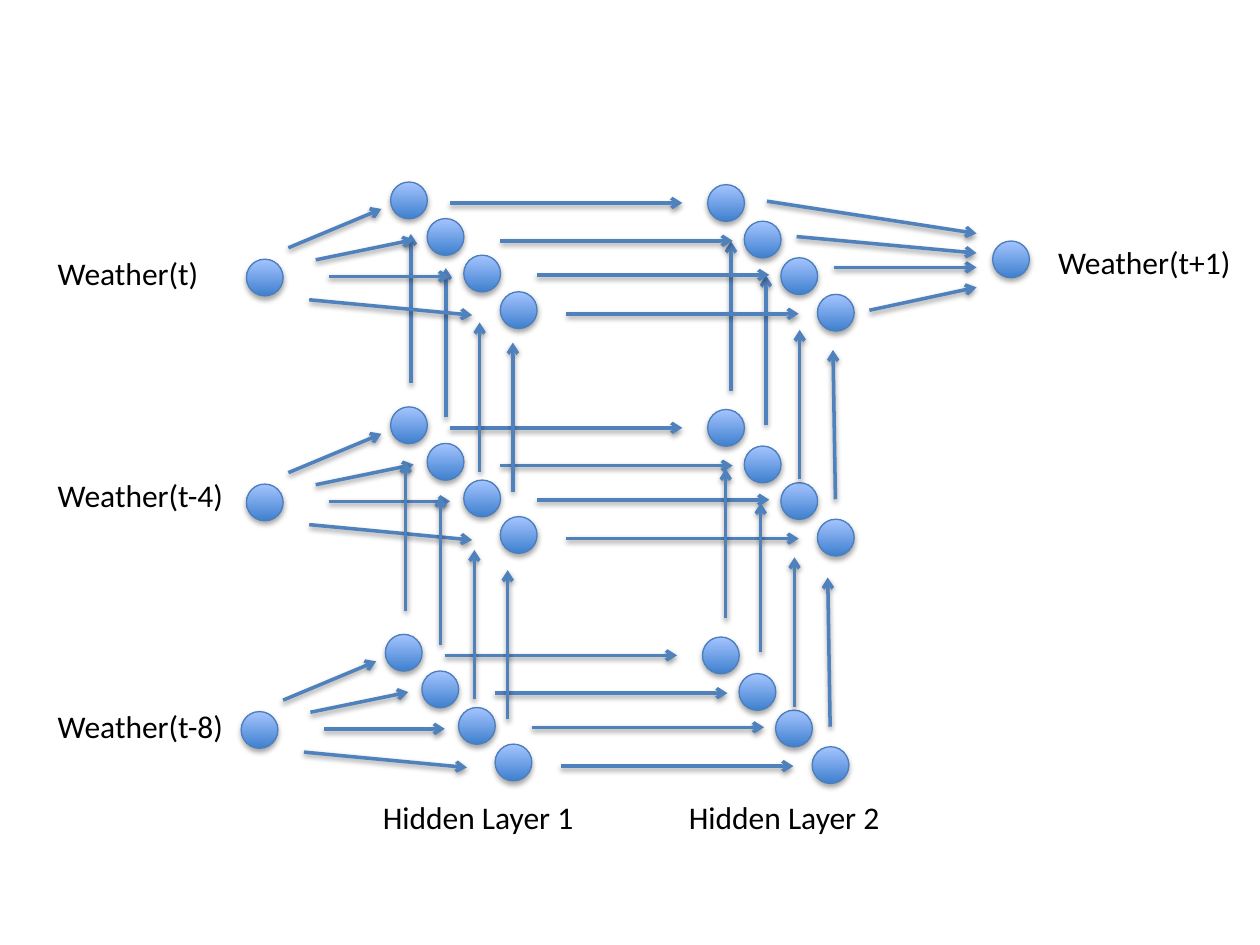
"""Build a slide of a recurrent weather network with two hidden layers."""
from lxml import etree
from pptx import Presentation
from pptx import util as u
from pptx.dml.color import RGBColor
from pptx.enum import shapes, text
from pptx.oxml.ns import qn

Pt = u.Pt
COLORS = {"node_dark": "3F80CE", "node_light": "A4C4FF", "outline": "4B7EBC",
          "arrow": "4F81BD", "text": "000000", "shadow": "000000"}

LABELS = [("Weather(t)", 25.9, 141.8, 96.5), ("Weather(t-4)", 25.9, 268.6, 111.6),
          ("Weather(t-8)", 25.9, 400.3, 111.6), ("Weather(t+1)", 597.6, 135.4, 115.2),
          ("Hidden Layer 1", 211.7, 452.2, 125.3), ("Hidden Layer 2", 386.6, 452.2, 125.3)]
TIME_STEPS = [{"origin": (223.2, 232.5), "recurrent": True},
              {"origin": (223.2, 104), "recurrent": False},
              {"origin": (220.2, 362.5), "recurrent": True}]

NODE = 21
NODES_PER_LAYER = 4
NODE_STEP = 20.9
LAYER_SHIFT = (181.2, 1.5)
INPUT_SHIFT = (-82.4, 44.1)
OUTPUT_NODE = (567.2, 137.7)

INPUT_FAN = [(-58.4, 37.6, -5.2, 15.4), (-42.8, 44.5, 13.2, 33),
             (-35.1, 54, 34, 54), (-46.5, 67.3, 46.6, 76.1)]
FORWARD_STARTS = [(33.9, 12), (62.7, 33.6), (83.6, 53.1), (100.4, 75.3)]
FORWARD_LENGTH = 132.8
RECURRENT_STARTS = [(11.6, -13.5), (31.6, 6), (50.9, 37.1), (69.9, 48.6)]
RECURRENT_LENGTH = 85.3
RECURRENT_SHIFT = (182.9, 4.2)
LAST_LEAN = 1.4
OUTPUT_FAN = [(496.8, 177.3, 558, 164.2), (476.6, 152.8, 558, 152.8),
              (455.2, 135.2, 558, 144.6), (438.3, 115, 558, 133.4)]

deck = Presentation()
deck.slide_width, deck.slide_height = Pt(720), Pt(540)
slide = deck.slides.add_slide(deck.slide_layouts[6])


def color(name):
    return RGBColor.from_string(COLORS[name])


def cast_shadow(part, distance, opacity):
    effects = etree.SubElement(part._element.spPr, qn("a:effectLst"))
    shadow = etree.SubElement(effects, qn("a:outerShdw"), blurRad=str(Pt(3.1)),
                              dist=str(Pt(distance)), dir="5400000", rotWithShape="0")
    tint = etree.SubElement(shadow, qn("a:srgbClr"), val=COLORS["shadow"])
    etree.SubElement(tint, qn("a:alpha"), val=str(opacity * 1000))


def add_node(x, y):
    node = slide.shapes.add_shape(shapes.MSO_SHAPE.OVAL, Pt(x), Pt(y), Pt(NODE), Pt(NODE))
    node.fill.gradient()
    node.fill.gradient_angle = 90
    for stop, name, place in zip(node.fill.gradient_stops, ("node_dark", "node_light"), (0, 1)):
        stop.color.rgb = color(name)
        stop.position = place
    node.line.color.rgb = color("outline")
    node.line.width = Pt(0.75)
    cast_shadow(node, 1.8, 35)


def add_arrow(x1, y1, x2, y2):
    arrow = slide.shapes.add_connector(shapes.MSO_CONNECTOR.STRAIGHT,
                                       Pt(x1), Pt(y1), Pt(x2), Pt(y2))
    arrow.line.color.rgb = color("arrow")
    arrow.line.width = Pt(2)
    etree.SubElement(arrow._element.spPr.find(qn("a:ln")), qn("a:tailEnd"), type="arrow")
    cast_shadow(arrow, 1.6, 38)


def add_label(words, x, y, width):
    label = slide.shapes.add_textbox(Pt(x), Pt(y), Pt(width), Pt(29))
    label.text_frame.word_wrap = False
    label.text_frame.auto_size = text.MSO_AUTO_SIZE.SHAPE_TO_FIT_TEXT
    paragraph = label.text_frame.paragraphs[0]
    paragraph.text = words
    paragraph.font.name = "Calibri"
    paragraph.font.size = Pt(18)
    paragraph.font.color.rgb = color("text")


def add_time_step(origin, recurrent):
    left, top = origin
    add_node(left + INPUT_SHIFT[0], top + INPUT_SHIFT[1])
    for layer in range(2):
        for i in range(NODES_PER_LAYER):
            add_node(left + layer * LAYER_SHIFT[0] + i * NODE_STEP,
                     top + layer * LAYER_SHIFT[1] + i * NODE_STEP)
    for x1, y1, x2, y2 in INPUT_FAN:
        add_arrow(left + x1, top + y1, left + x2, top + y2)
    for x, y in FORWARD_STARTS:
        add_arrow(left + x, top + y, left + x + FORWARD_LENGTH, top + y)
    if not recurrent:
        return
    for layer in range(2):
        for i, (dx, dy) in enumerate(RECURRENT_STARTS):
            x = left + dx + layer * RECURRENT_SHIFT[0]
            y = top + dy + layer * RECURRENT_SHIFT[1]
            lean = LAST_LEAN if layer and i == NODES_PER_LAYER - 1 else 0
            add_arrow(x + lean, y, x, y - RECURRENT_LENGTH)


for time_step in TIME_STEPS:
    add_time_step(**time_step)
add_node(*OUTPUT_NODE)
for ends in OUTPUT_FAN:
    add_arrow(*ends)
for entry in LABELS:
    add_label(*entry)

deck.save("out.pptx")
